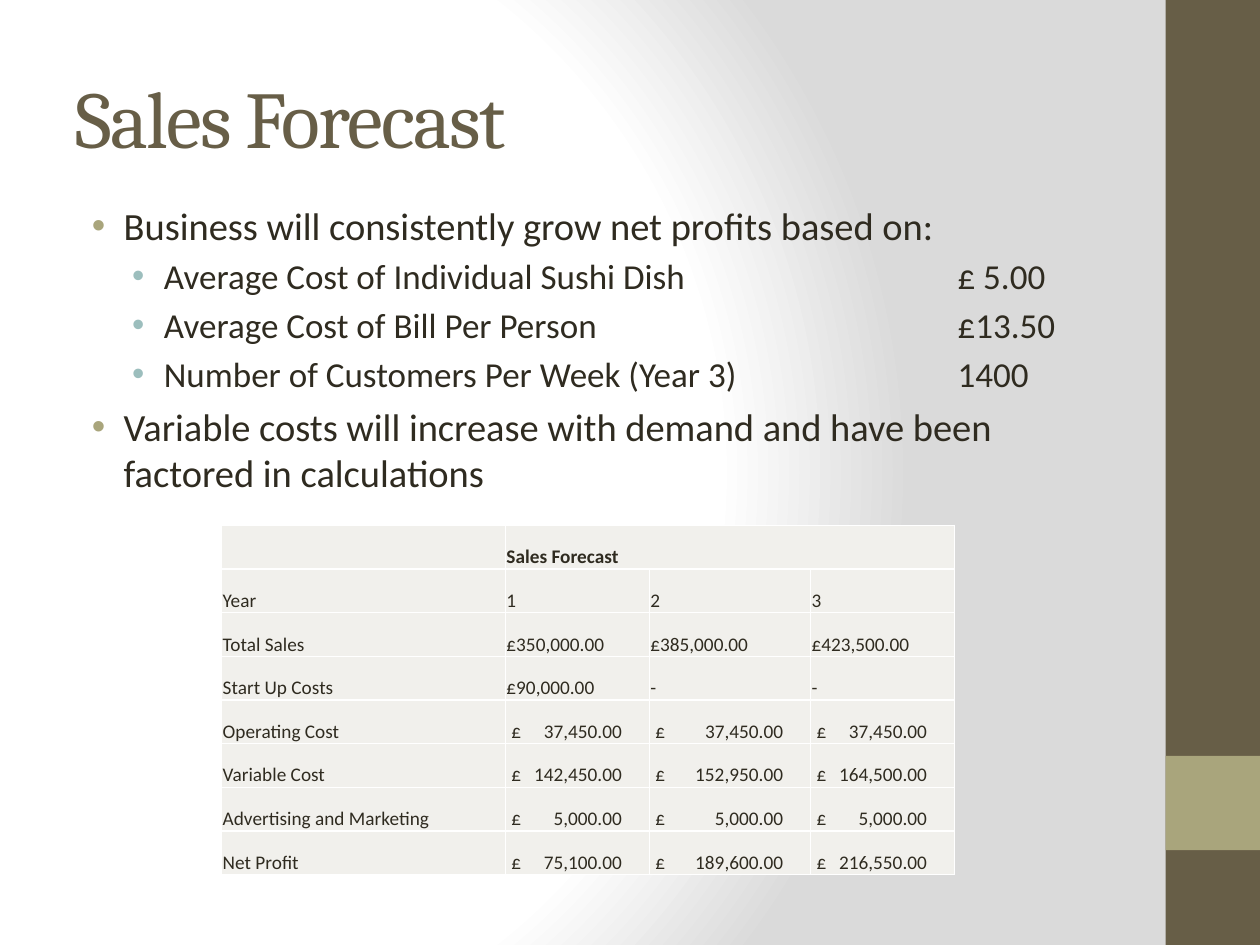
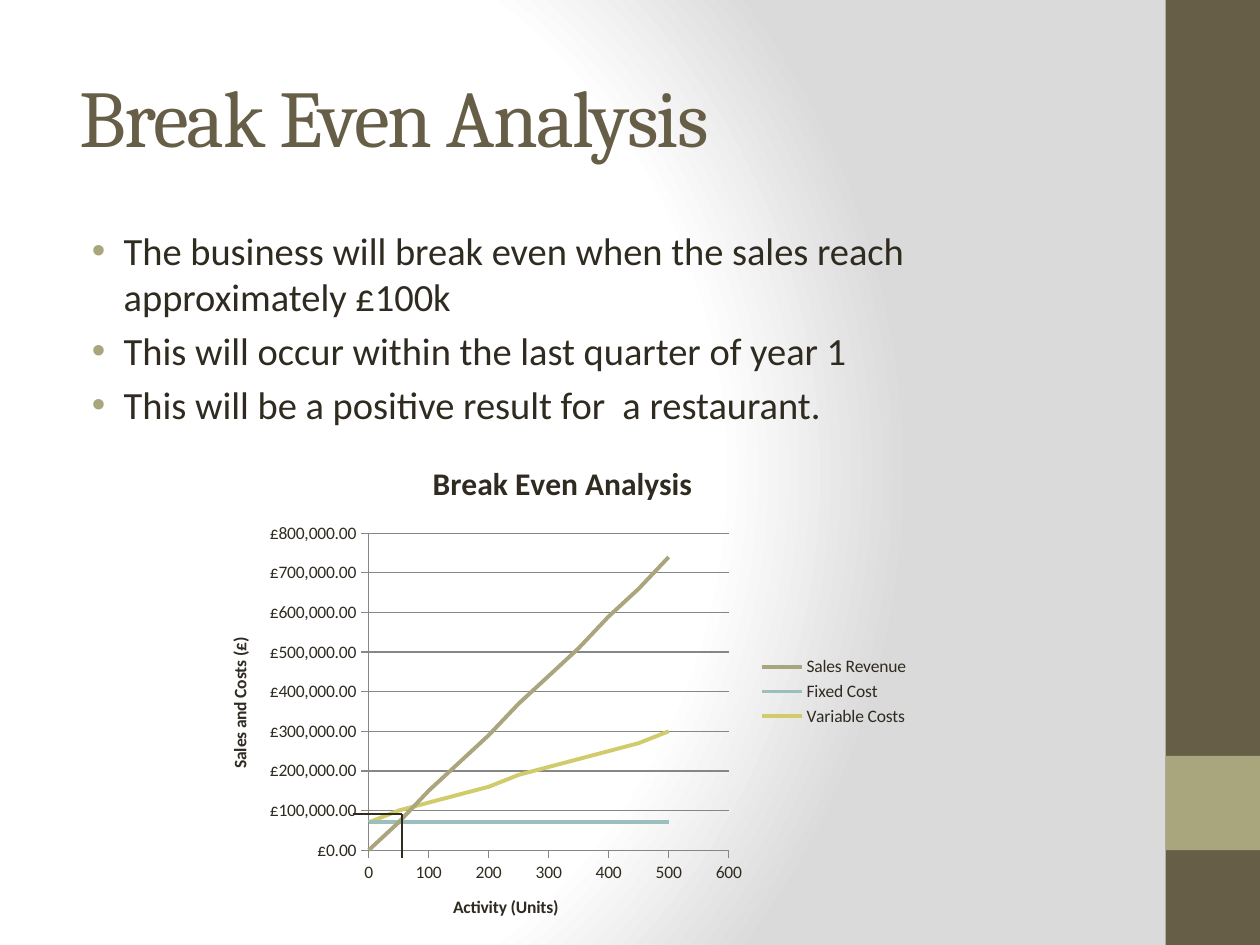
from pptx import Presentation
from pptx.chart.data import XyChartData
from pptx.dml.color import RGBColor
from pptx.enum.chart import XL_CHART_TYPE as ChartType, XL_LEGEND_POSITION as LegendPosition
from pptx.enum.chart import XL_TICK_MARK as TickMark
from pptx.enum.shapes import MSO_CONNECTOR as Connector, MSO_SHAPE as Shape
from pptx.enum.text import MSO_ANCHOR as Anchor, MSO_AUTO_SIZE as AutoSize, PP_ALIGN as Align
from pptx.oxml import parse_xml
from pptx.oxml.ns import nsdecls
from pptx.util import Cm, Pt

COLOURS = {
    "brown": "675E47",
    "olive": "A9A57C",
    "teal": "9CBEBD",
    "yellow": "D2CB6C",
    "ink": "2F2B20",
    "cell": "F1F0EC",
    "white": "FFFFFF",
    "mist": "DADADA",
    "grid": "868686",
}
HEADING_FONT, BODY_FONT = "Cambria", "Calibri"

# Per list level: left margin, text size, bullet colour
LEVELS = [(Cm(0.97), 22, "olive"), (Cm(1.78), 20, "teal")]
HANGING = Cm(0.64)
PRICE_STOP = Cm(17.78)

SALES_POINTS = [
    (0, "Business will consistently grow net profits based on:"),
    (1, "Average Cost of Individual Sushi Dish\t£ 5.00"),
    (1, "Average Cost of Bill Per Person\t£13.50"),
    (1, "Number of Customers Per Week (Year 3)\t1400"),
    (0, "Variable costs will increase with demand and have been factored in calculations"),
]
BREAK_EVEN_POINTS = [
    (0, "The business will break even when the sales reach approximately £100k"),
    (0, "This will occur within the last quarter of year 1"),
    (0, "This will be a positive result for  a restaurant."),
]
FORECAST = [
    ["", "Sales Forecast", "", ""],
    ["Year", "1", "2", "3"],
    ["Total Sales", "£350,000.00", "£385,000.00", "£423,500.00"],
    ["Start Up Costs", "£90,000.00", "-", "-"],
    ["Operating Cost", "£\t37,450.00", "£\t37,450.00", "£\t37,450.00"],
    ["Variable Cost", "£\t142,450.00", "£\t152,950.00", "£\t164,500.00"],
    ["Advertising and Marketing", "£\t5,000.00", "£\t5,000.00", "£\t5,000.00"],
    ["Net Profit", "£\t75,100.00", "£\t189,600.00", "£\t216,550.00"],
]
COLUMN_WIDTHS = [Cm(5.72), Cm(2.9), Cm(3.25), Cm(2.9)]
ROW_HEIGHT = Cm(0.88)

UNITS = range(0, 501, 50)
COST_LINES = [
    ("Sales Revenue", "olive", [0, 70000, 150000, 220000, 290000, 370000,
                                440000, 510000, 590000, 660000, 740000]),
    ("Fixed Cost", "teal", [70000] * len(UNITS)),
    ("Variable Costs", "yellow", [70000, 100000, 120000, 140000, 160000, 190000,
                                  210000, 230000, 250000, 270000, 300000]),
]


def rgb(name):
    return RGBColor.from_string(COLOURS[name])


def style_font(font, size, colour="ink", name=BODY_FONT, bold=False):
    font.size, font.name, font.bold = Pt(size), name, bold
    font.color.rgb = rgb(colour)


def place(shape, left, top, width, height):
    shape.left, shape.top, shape.width, shape.height = left, top, width, height


def add_tab_stop(para, position, align):
    para._p.get_or_add_pPr().append(parse_xml(
        f'<a:tabLst {nsdecls("a")}><a:tab pos="{position}" algn="{align}"/></a:tabLst>'))


def set_background(master):
    """Give every page the glow that fades to grey on the right."""
    fill = master.background.fill
    fill.gradient()
    gradient = master._element.cSld.bg.bgPr[0]
    stops = "".join(
        f'<a:gs pos="{percent * 1000}"><a:srgbClr val="{COLOURS[name]}"/></a:gs>'
        for percent, name in [(0, "white"), (75, "white"), (100, "mist")])
    gradient.getparent().replace(gradient, parse_xml(
        f'<a:gradFill {nsdecls("a")} rotWithShape="1"><a:gsLst>{stops}</a:gsLst>'
        '<a:path path="circle"><a:fillToRect l="20000" t="50000" r="100000" b="50000"/>'
        '</a:path></a:gradFill>'))


def add_band(page, top, height, colour):
    band = page.shapes.add_shape(Shape.RECTANGLE, Cm(23.5), top, Cm(1.9), height)
    band.shadow.inherit = False
    band.fill.solid()
    band.fill.fore_color.rgb = rgb(colour)
    band.line.fill.background()


def add_page(deck, title, left, top):
    page = deck.slides.add_slide(deck.slide_layouts[1])
    add_band(page, 0, deck.slide_height, "brown")
    add_band(page, Cm(15.24), Cm(1.9), "olive")
    box = page.shapes.title
    place(box, left, top, Cm(21.16), Cm(3.18))
    frame = box.text_frame
    frame.text = title
    frame.auto_size = AutoSize.NONE
    frame.vertical_anchor = Anchor.MIDDLE
    para = frame.paragraphs[0]
    para.alignment = Align.LEFT
    span = para.runs[0]
    style_font(span.font, 46, "brown", HEADING_FONT)
    span._r.get_or_add_rPr().set("spc", "-100")
    return page


def style_point(para, level):
    margin, size, bullet_colour = LEVELS[level]
    para.level = level
    properties = para._p.get_or_add_pPr()
    properties.set("marL", str(margin))
    properties.set("indent", str(-HANGING))
    for tag in (f'<a:buClr {nsdecls("a")}><a:srgbClr val="{COLOURS[bullet_colour]}"/></a:buClr>',
                f'<a:buFont {nsdecls("a")} typeface="Arial"/>',
                f'<a:buChar {nsdecls("a")} char="•"/>'):
        properties.append(parse_xml(tag))
    if "\t" in para.text:
        add_tab_stop(para, PRICE_STOP, "l")
    for span in para.runs:
        style_font(span.font, size)


def fill_list(page, points, top):
    box = page.placeholders[1]
    place(box, Cm(1.27), top, Cm(21.16), Cm(13.34))
    frame = box.text_frame
    frame.text = "\n".join(text for _, text in points)
    frame.auto_size = AutoSize.NONE
    for para, (level, _) in zip(frame.paragraphs, points):
        style_point(para, level)


def style_cell(cell, text, column_width, bold):
    cell.fill.solid()
    cell.fill.fore_color.rgb = rgb("cell")
    cell.margin_left = cell.margin_right = cell.margin_top = Cm(0.02)
    cell.margin_bottom = 0
    cell.vertical_anchor = Anchor.BOTTOM
    cell.text = text
    para = cell.text_frame.paragraphs[0]
    if "\t" in text:
        para._p.get_or_add_pPr().set("marL", str(Cm(0.1)))
        add_tab_stop(para, column_width - Cm(0.67), "r")
    for span in para.runs:
        style_font(span.font, 11, bold=bold)
    properties = cell._tc.get_or_add_tcPr()
    for index, side in enumerate("LRTB"):
        properties.insert(index, parse_xml(
            f'<a:ln{side} {nsdecls("a")} w="{Pt(1)}"><a:solidFill>'
            f'<a:srgbClr val="{COLOURS["white"]}"/></a:solidFill></a:ln{side}>'))


def add_forecast_table(page):
    table = page.shapes.add_table(
        len(FORECAST), len(COLUMN_WIDTHS), Cm(4.47), Cm(10.59),
        sum(COLUMN_WIDTHS), ROW_HEIGHT * len(FORECAST)).table
    table.first_row = table.horz_banding = False
    for column, width in zip(table.columns, COLUMN_WIDTHS):
        column.width = width
    for row_index, texts in enumerate(FORECAST):
        table.rows[row_index].height = ROW_HEIGHT
        for column_index, text in enumerate(texts):
            style_cell(table.cell(row_index, column_index), text,
                       COLUMN_WIDTHS[column_index], bold=row_index == 0)
    table.cell(0, 1).merge(table.cell(0, 3))


def set_chart_title(owner, text, size):
    """Title a chart or one of its axes."""
    frame = (owner.chart_title if hasattr(owner, "chart_title") else owner.axis_title).text_frame
    frame.text = text
    style_font(frame.paragraphs[0].runs[0].font, size, bold=True)


def style_axis(axis, title):
    set_chart_title(axis, title, 10)
    axis.major_tick_mark = TickMark.OUTSIDE
    axis.minor_tick_mark = TickMark.NONE
    axis.format.line.color.rgb = rgb("grid")


def add_break_even_chart(page):
    data = XyChartData()
    for name, _, amounts in COST_LINES:
        series = data.add_series(name)
        for units, amount in zip(UNITS, amounts):
            series.add_data_point(units, amount)
    chart = page.shapes.add_chart(
        ChartType.XY_SCATTER_LINES_NO_MARKERS,
        Cm(4.09), Cm(8.86), Cm(14.5), Cm(10.16), data).chart
    style_font(chart.font, 10)
    set_chart_title(chart, "Break Even Analysis", 18)
    chart.has_legend = True
    chart.legend.position = LegendPosition.RIGHT
    chart.legend.include_in_layout = False
    style_axis(chart.category_axis, "Activity (Units)")
    chart.category_axis.has_major_gridlines = False
    style_axis(chart.value_axis, "Sales and Costs (£)")
    chart.value_axis.has_major_gridlines = True
    chart.value_axis.major_gridlines.format.line.color.rgb = rgb("grid")
    labels = chart.value_axis.tick_labels
    labels.number_format, labels.number_format_is_linked = '"£"#,##0.00', False
    plot = chart.plots[0]
    plot.vary_by_categories = False
    for series, (_, colour, _) in zip(plot.series, COST_LINES):
        series.smooth = False
        series.format.line.width = Pt(2.25)
        series.format.line.color.rgb = rgb(colour)


def add_marker_line(page, start, end):
    line = page.shapes.add_connector(Connector.STRAIGHT, *start, *end)
    line.line.color.rgb = rgb("ink")
    line.line.width = Pt(1)
    line._element.spPr.append(parse_xml(f'<a:effectLst {nsdecls("a")}/>'))


def main():
    deck = Presentation()
    deck.slide_width, deck.slide_height = Cm(25.4), Cm(19.05)
    set_background(deck.slide_master)

    page = add_page(deck, "Sales Forecast", Cm(1.27), Cm(0.76))
    fill_list(page, SALES_POINTS, Cm(3.94))
    add_forecast_table(page)

    page = add_page(deck, "Break Even Analysis", Cm(1.35), Cm(0.74))
    fill_list(page, BREAK_EVEN_POINTS, Cm(4.45))
    add_break_even_chart(page)
    corner = Cm(8.1), Cm(16.41)
    add_marker_line(page, (Cm(8.1), Cm(17.3)), corner)
    add_marker_line(page, (Cm(7.11), Cm(16.41)), corner)

    deck.save("out.pptx")


if __name__ == "__main__":
    main()
